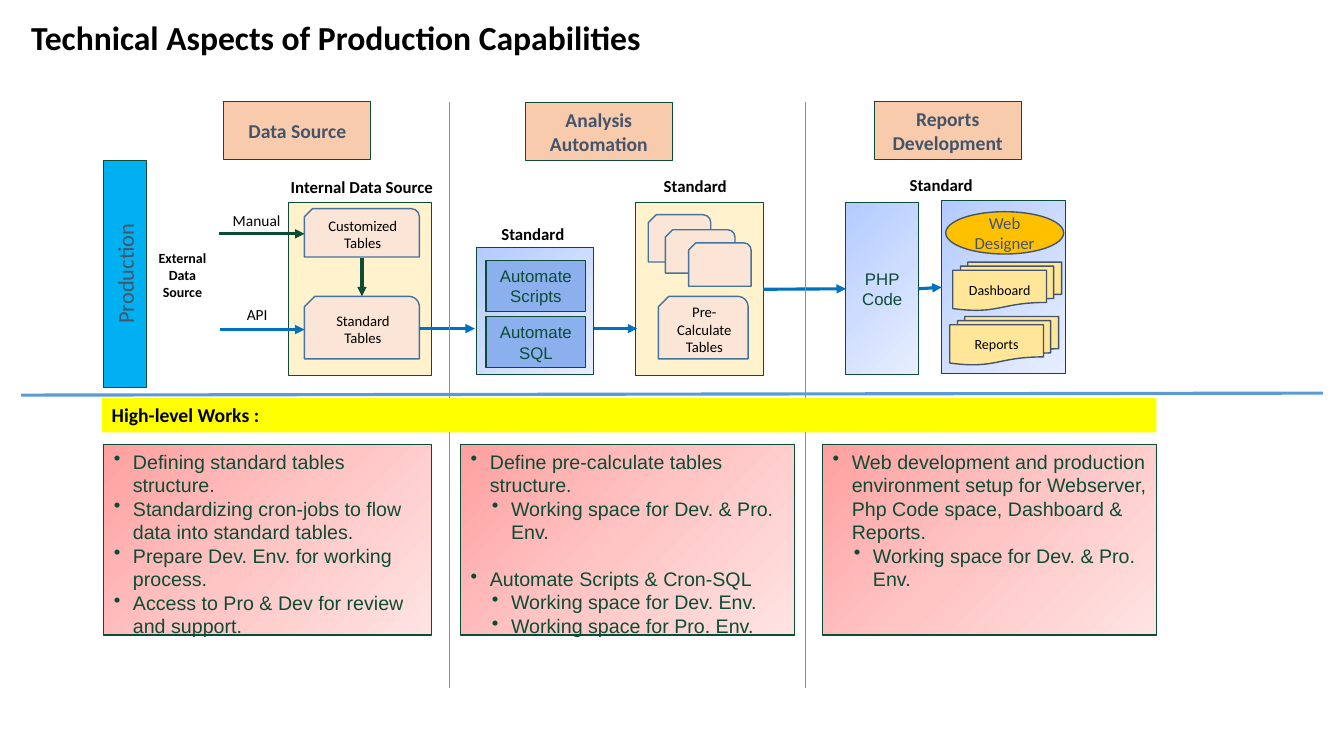
"""Build the slide on technical aspects of production capabilities."""
from copy import deepcopy
from dataclasses import dataclass

from pptx import Presentation
from pptx.dml.color import RGBColor
from pptx.enum.shapes import MSO_CONNECTOR, MSO_SHAPE as SHAPE
from pptx.enum.text import MSO_ANCHOR as ANCHOR, PP_ALIGN as ALIGN
from pptx.oxml.ns import qn
from pptx.oxml.xmlchemy import OxmlElement
from pptx.util import Inches, Pt


@dataclass(frozen=True)
class Theme:
    """Colours, fonts and type sizes of the slide."""
    black: str = "000000"
    green: str = "0C4C34"
    slate: str = "44546A"
    blue: str = "0070C0"
    rule: str = "5B9BD5"
    peach: str = "F8CBAD"
    cyan: str = "00B0F0"
    cream: str = "FFF2CC"
    card: str = "FBE5D6"
    card_edge: str = "43739E"
    script: str = "8CAFEE"
    paper: str = "FFE699"
    amber: str = "FFC000"
    yellow: str = "FFFF00"
    cool: tuple = ("B3CBFF", "CEDDFF", "E7EEFF")
    warm: tuple = ("FFA0A0", "FFC5C5", "FFE3E3")
    head_font: str = "Calibri"
    body_font: str = "Arial"
    title: float = 24
    stage: float = 16
    body: float = 14
    label: float = 12
    flow: float = 11
    table: float = 10.5
    small: float = 10


T = Theme()


def rgb(value):
    """Return the colour for a hex string."""
    return RGBColor.from_string(value)


def write(tf, text, size=T.label, color=T.black, font=T.head_font, bold=False,
          align=ALIGN.CENTER, anchor=ANCHOR.MIDDLE):
    """Fill a text frame, one paragraph for each line of text."""
    tf.word_wrap = True
    tf.vertical_anchor = anchor
    for i, line in enumerate(text.split("\n")):
        p = tf.paragraphs[0] if i == 0 else tf.add_paragraph()
        p.alignment = align
        r = p.add_run()
        r.text = line
        r.font.name, r.font.size, r.font.bold = font, Pt(size), bold
        r.font.color.rgb = rgb(color)


def label(s, box, text, **fmt):
    """Add a text box."""
    sp = s.shapes.add_textbox(*map(Inches, box))
    write(sp.text_frame, text, anchor=ANCHOR.TOP, **fmt)


def gradient(sp, colors):
    """Fill a shape with three evenly spaced diagonal colours."""
    sp.fill.gradient()
    sp.fill.gradient_angle = 315
    stops = sp._element.spPr.find(qn("a:gradFill")).find(qn("a:gsLst"))
    stops.insert(1, deepcopy(stops[0]))
    for i, (stop, color) in enumerate(zip(sp.fill.gradient_stops, colors)):
        stop.position = i / 2
        stop.color.rgb = rgb(color)


def shape(s, box, fill, text="", kind=SHAPE.RECTANGLE, line=T.green, weight=0.75, **fmt):
    """Add a preset shape with a plain or gradient fill and optional text."""
    sp = s.shapes.add_shape(kind, *map(Inches, box))
    sp.shadow.inherit = False
    if isinstance(fill, tuple):
        gradient(sp, fill)
    else:
        sp.fill.solid()
        sp.fill.fore_color.rgb = rgb(fill)
    if line:
        sp.line.color.rgb = rgb(line)
        sp.line.width = Pt(weight)
    else:
        sp.line.fill.background()
    if text:
        write(sp.text_frame, text, **fmt)
    return sp


def table_card(s, box, text=""):
    """Add a card with a snipped left corner and a rounded right one."""
    sp = shape(s, box, T.card, text, SHAPE.SNIP_ROUND_RECTANGLE, T.card_edge, 1, size=T.table)
    sp._element.spPr.xfrm.set("flipH", "1")


def line(s, start, end, color=T.blue, weight=2.25, arrow=True):
    """Add a straight line, by default with an arrowhead at its end."""
    c = s.shapes.add_connector(MSO_CONNECTOR.STRAIGHT, *map(Inches, (*start, *end)))
    c.line.color.rgb = rgb(color)
    c.line.width = Pt(weight)
    if arrow:
        tail = OxmlElement("a:tailEnd")
        tail.set("type", "triangle")
        c.line._get_or_add_ln().append(tail)
    c._element.spPr.append(OxmlElement("a:effectLst"))
    return c


def join(s, left, right):
    """Draw an arrow from the right side of one box to the left of another."""
    c = line(s, (0, 0), (1, 1))
    c.begin_connect(left, 3)
    c.end_connect(right, 1)


def work_list(s, left, width, items):
    """Add a panel of bullets given as (level, text, space before)."""
    sp = shape(s, (left, 4.41, width, 1.89), T.warm, "\n".join(text for _, text, _ in items),
               size=T.body, color=T.green, font=T.body_font, align=ALIGN.LEFT, anchor=ANCHOR.TOP)
    for p, (level, _, before) in zip(sp.text_frame.paragraphs, items):
        p.level = level
        pPr = p._p.get_or_add_pPr()
        pPr.set("marL", str(Inches((0.19, 0.4)[level])))
        pPr.set("indent", str(Inches(-0.19)))
        bullet = OxmlElement("a:buChar")
        bullet.set("char", "•")
        pPr.append(bullet)
        if before:
            p.space_before = Pt(before)


def data_source(s):
    """Draw the production bar, its inputs and the internal tables."""
    bar = shape(s, (1.03, 1.59, 0.42, 2.25), T.cyan, "Production", size=T.stage, color=T.slate)
    bar.text_frame._txBody.bodyPr.set("vert", "vert270")
    label(s, (1.43, 2.43, 0.76, 0.61), "External\nData\nSource", size=T.small, bold=True)
    shape(s, (2.86, 2.01, 1.42, 1.72), T.cream)
    table_card(s, (3.02, 2.07, 1.14, 0.48), "Customized Tables")
    table_card(s, (3.02, 2.94, 1.14, 0.62), "Standard\nTables")
    label(s, (2.21, 2.05, 0.69, 0.29), "Manual", size=T.flow, align=ALIGN.LEFT)
    label(s, (2.35, 2.98, 0.44, 0.29), "API", size=T.flow, align=ALIGN.LEFT)
    line(s, (2.17, 2.32), (3.02, 2.32), T.green)
    line(s, (2.18, 3.27), (3.02, 3.27))
    line(s, (3.59, 2.56), (3.59, 2.94), T.green)


def analysis(s):
    """Draw the automation box and return the pre-calculated table box."""
    tables = shape(s, (6.3, 2.01, 1.27, 1.72), T.cream)
    table_card(s, (6.53, 2.94, 0.89, 0.62), "Pre-Calculate\nTables")
    for box in ((6.43, 2.13, 0.62, 0.47), (6.6, 2.28, 0.69, 0.43), (6.83, 2.41, 0.62, 0.43)):
        table_card(s, box)
    shape(s, (4.73, 2.46, 1.16, 1.26), T.cool)
    for top, job in ((2.58, "Scripts"), (3.14, "SQL")):
        shape(s, (4.82, top, 0.99, 0.51), T.script, f"Automate\n{job}",
              color=T.green, font=T.body_font)
    line(s, (4.16, 3.26), (4.71, 3.26))
    line(s, (5.89, 3.26), (6.32, 3.26))
    return tables


def reports(s, tables):
    """Draw the code box and the report outputs, fed by the tables."""
    code = shape(s, (8.39, 2.01, 0.72, 1.71), T.cool, "PHP\nCode", color=T.green, font=T.body_font)
    output = shape(s, (9.34, 1.99, 1.23, 1.72), T.cool)
    for left, top, text in ((9.45, 2.6, "Dashboard"), (9.42, 3.14, "Reports")):
        shape(s, (left, top, 1.08, 0.48), T.paper, text, SHAPE.FLOWCHART_MULTIDOCUMENT,
              T.slate, 1, size=T.small)
    shape(s, (9.38, 2.1, 1.17, 0.42), T.amber, "Web Designer", SHAPE.OVAL, T.slate, 1,
          color=T.slate)
    join(s, tables, code)
    join(s, code, output)


def works(s):
    """Draw the dividers, the yellow band and the three work lists."""
    for x in (4.46, 7.99):
        line(s, (x, 1.01), (x, 6.83), T.rule, 0.5, arrow=False)
    line(s, (13.12, 3.9), (0.21, 3.92), T.rule, arrow=False)
    shape(s, (1.01, 3.95, 10.46, 0.34), T.yellow, "High-level Works :", line=None,
          size=T.body, bold=True, align=ALIGN.LEFT, anchor=ANCHOR.TOP)
    work_list(s, 1.03, 3.25, [
        (0, "Defining standard tables structure.", 0),
        (0, "Standardizing cron-jobs to flow data into standard tables.", 0),
        (0, "Prepare Dev. Env. for working process.", 0),
        (0, "Access to Pro & Dev for review and support.", 0)])
    work_list(s, 4.57, 3.31, [
        (0, "Define pre-calculate tables structure.", 0),
        (1, "Working space for Dev. & Pro. Env.", 0),
        (0, "Automate Scripts & Cron-SQL", 16.5),
        (1, "Working space for Dev. Env.", 0),
        (1, "Working space for Pro. Env.", 0)])
    work_list(s, 8.16, 3.31, [
        (0, "Web development and production environment setup for Webserver, "
            "Php Code space, Dashboard & Reports.", 0),
        (1, "Working space for Dev. & Pro. Env.", 0)])


def main():
    """Build and save the slide."""
    prs = Presentation()
    prs.slide_width, prs.slide_height = Inches(13.33), Inches(7.5)
    s = prs.slides.add_slide(prs.slide_layouts[6])
    label(s, (0.21, 0.12, 12.76, 0.5), "Technical Aspects of Production Capabilities",
          size=T.title, bold=True, align=ALIGN.LEFT)
    for left, top, text in ((2.22, 1.01, "Data Source"), (5.21, 1.02, "Analysis Automation"),
                            (8.67, 1.01, "Reports\nDevelopment")):
        shape(s, (left, top, 1.46, 0.57), T.peach, text, size=T.body, color=T.slate, bold=True)
    data_source(s)
    reports(s, analysis(s))
    for left, top, width, text in ((2.71, 1.7, 1.76, "Internal Data Source"),
                                   (4.68, 2.17, 1.21, "Standard"),
                                   (6.29, 1.69, 1.21, "Standard"),
                                   (8.73, 1.68, 1.21, "Standard")):
        label(s, (left, top, width, 0.3), text, bold=True)
    works(s)
    prs.save("out.pptx")


if __name__ == "__main__":
    main()
